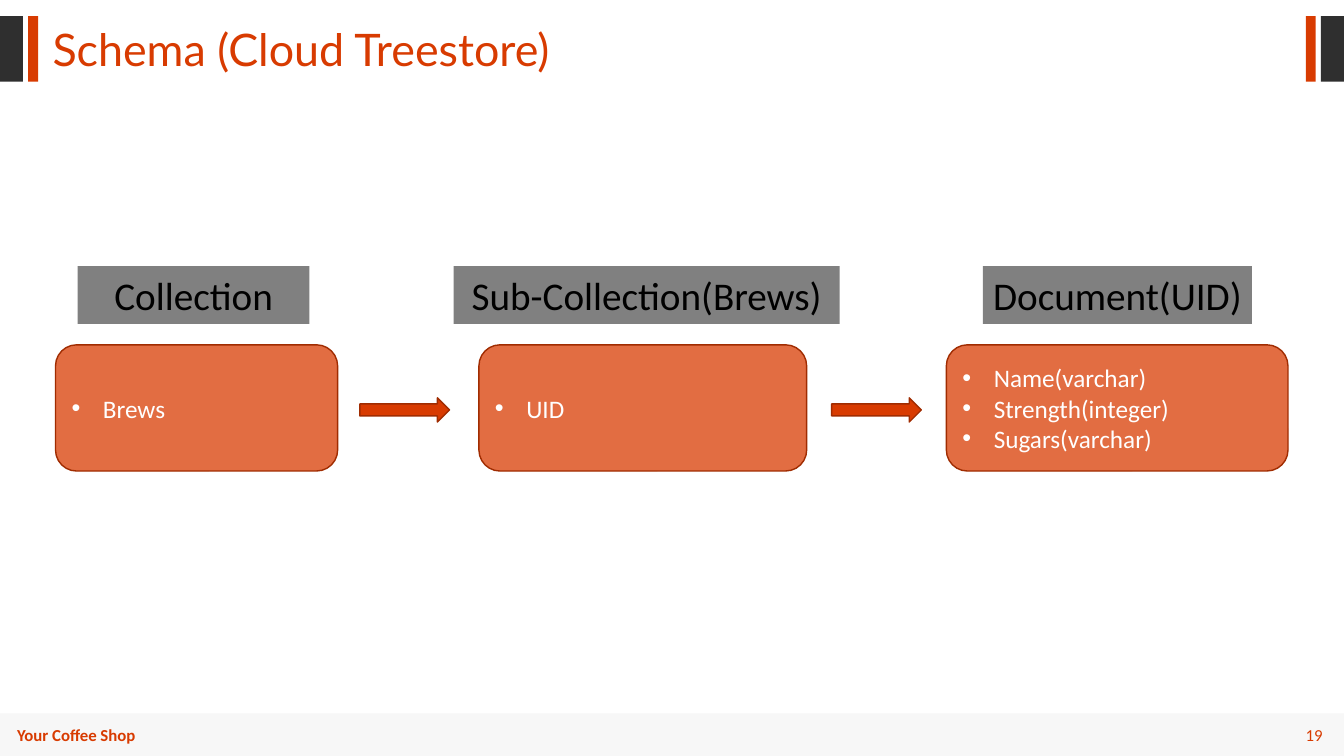
from lxml import etree
from pptx import Presentation
from pptx import util as u
from pptx.dml import color
from pptx.enum import shapes, text
from pptx.oxml import ns

COLORS = {"orange": "D83B01", "rust": "A02C01", "dark": "2F2F2F", "gray": "808080",
          "mist": "E6E6E6", "white": "FFFFFF", "black": "000000"}
WIDTH, HEIGHT = 33.87, 19.05
SHAPE = shapes.MSO_SHAPE
LEFT, CENTER, RIGHT = text.PP_ALIGN.LEFT, text.PP_ALIGN.CENTER, text.PP_ALIGN.RIGHT
TOP, MIDDLE = text.MSO_ANCHOR.TOP, text.MSO_ANCHOR.MIDDLE


def rgb(name):
    return color.RGBColor.from_string(COLORS[name])


def apply(target, formats):
    for attribute, value in formats.items():
        setattr(target, attribute, value)


def place(box):
    return [u.Cm(length) for length in box]


def write(frame, lines, size, tint, align=LEFT, anchor=TOP, wrap=True, bold=False,
          font="Calibri", spacing=1.0, bullet=False):
    apply(frame, {"auto_size": text.MSO_AUTO_SIZE.NONE, "word_wrap": wrap,
                  "vertical_anchor": anchor})
    for index, line in enumerate(lines):
        paragraph = frame.add_paragraph() if index else frame.paragraphs[0]
        apply(paragraph, {"alignment": align, "line_spacing": spacing, "space_before": u.Pt(0)})
        if bullet:
            properties = paragraph._p.get_or_add_pPr()
            indent = u.Cm(0.79)
            properties.set("marL", str(indent))
            properties.set("indent", str(-indent))
            etree.SubElement(properties, ns.qn("a:buFont"), typeface="Arial")
            etree.SubElement(properties, ns.qn("a:buChar"), char="•")
        run = paragraph.add_run()
        run.text = line
        apply(run.font, {"name": font, "size": u.Pt(size), "bold": bold})
        run.font.color.rgb = rgb(tint)


def draw(slide, preset, box, fill, line=None, opacity=None):
    shape = slide.shapes.add_shape(preset, *place(box))
    shape.shadow.inherit = False
    shape.fill.solid()
    shape.fill.fore_color.rgb = rgb(fill)
    if opacity:
        tone = shape._element.spPr.find(ns.qn("a:solidFill"))[0]
        etree.SubElement(tone, ns.qn("a:alpha"), val=str(opacity * 1000))
    if line:
        shape.line.color.rgb = rgb(line)
        shape.line.width = u.Pt(1)
    else:
        shape.line.fill.background()
    return shape


def add_header(slide, box, heading):
    left, top, width, height = box
    for offset, bar_width, fill in ((0, 0.58, "dark"), (0.71, 0.25, "orange")):
        for bar_left in (left + offset, left + width - offset - bar_width):
            draw(slide, SHAPE.RECTANGLE, (bar_left, top, bar_width, height), fill)
    title = slide.shapes.title
    title_box = place((left + 1.07, top + 0.28, 16.94, 1.37))
    apply(title, dict(zip(("left", "top", "width", "height"), title_box)))
    write(title.text_frame, [heading], 32, "orange", font="Lato", spacing=0.8)


def add_footer(slide, box, shop, number):
    left, top, width, height = box
    draw(slide, SHAPE.RECTANGLE, box, "mist", opacity=30)
    entries = ((shop, left + 0.18, 4.67, LEFT, True),
               (number, left + width - 2.5, 2.21, RIGHT, False))
    for entry, entry_left, entry_width, align, bold in entries:
        entry_box = slide.shapes.add_textbox(
            *place((entry_left, top + 0.16, entry_width, height - 0.31)))
        write(entry_box.text_frame, [entry], 12, "orange", align, MIDDLE, bold=bold)


def add_schema(slide, box, levels, arrow_lefts):
    left, top, width, height = box
    label_height, card_height, arrow_height = 1.45, 3.18, 0.61
    card_top = top + height - card_height
    for level, label_left, label_width, card_left, card_width, fields in levels:
        card = draw(slide, SHAPE.ROUNDED_RECTANGLE,
                    (left + card_left, card_top, card_width, card_height),
                    "orange", "rust", 74)
        write(card.text_frame, fields, 18, "white", anchor=MIDDLE, bullet=True)
        label = draw(slide, SHAPE.RECTANGLE,
                     (left + label_left, top, label_width, label_height), "gray")
        write(label.text_frame, [level], 28, "black", CENTER, wrap=False)
    for arrow_left in arrow_lefts:
        arrow_top = card_top + (card_height - arrow_height) / 2 + 0.05
        draw(slide, SHAPE.RIGHT_ARROW, (left + arrow_left, arrow_top, 2.26, arrow_height),
             "orange", "rust")


def main():
    deck = Presentation()
    apply(deck, {"slide_width": u.Cm(WIDTH), "slide_height": u.Cm(HEIGHT)})
    slide = deck.slides.add_slide(deck.slide_layouts[5])
    add_footer(slide, (0, 17.98, WIDTH, 1.07), "Your Coffee Shop", "19")
    add_header(slide, (0, 0.41, WIDTH, 1.65), "Schema (Cloud Treestore)")
    levels = (
        ("Collection", 0.56, 5.84, 0, 7.11, ["Brews"]),
        ("Sub-Collection(Brews)", 10.03, 9.73, 10.67, 8.26, ["UID"]),
        ("Document(UID)", 23.37, 6.78, 22.45, 8.61,
         ["Name(varchar)", "Strength(integer)", "Sugars(varchar)"]),
    )
    add_schema(slide, (1.4, 6.71, 31.06, 5.16), levels, (7.67, 19.56))
    deck.save("out.pptx")


if __name__ == "__main__":
    main()
